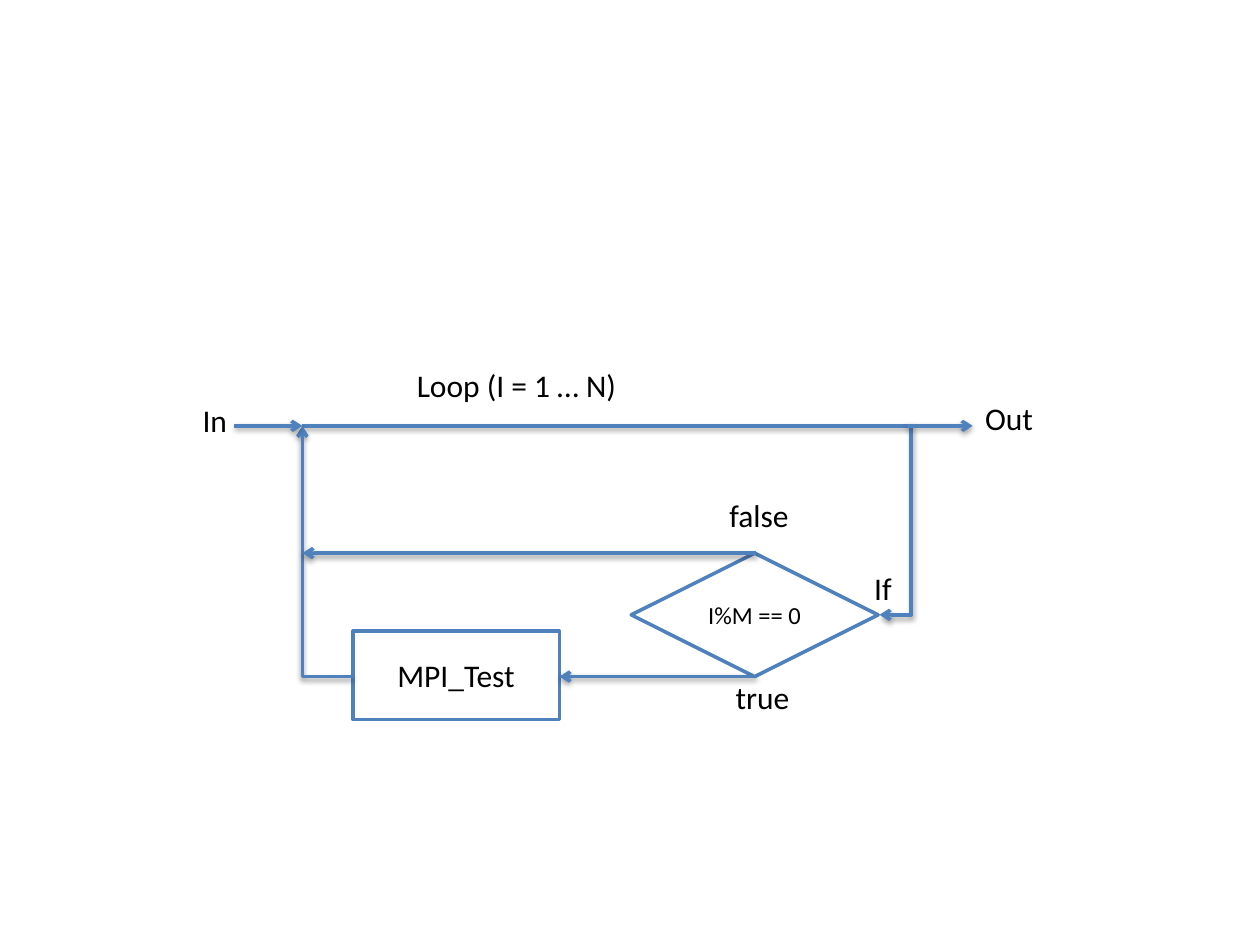
"""Build a flowchart of a loop that calls MPI_Test on every M-th pass."""
import pptx
import pptx.util
import pptx.dml.color
import pptx.enum.shapes
import pptx.enum.text
import pptx.oxml
import pptx.oxml.ns

Inches = pptx.util.Inches
SHAPE = pptx.enum.shapes.MSO_SHAPE
CONNECTOR = pptx.enum.shapes.MSO_CONNECTOR

THEME = {
    "font": "Calibri",
    "text": pptx.dml.color.RGBColor(0, 0, 0),
    "line": pptx.dml.color.RGBColor(0x4F, 0x81, 0xBD),
    "line_width": pptx.util.Pt(2),
    "label_size": pptx.util.Pt(18),
    "condition_size": pptx.util.Pt(14),
}

LOOP_Y, FALSE_Y, IF_Y, TRUE_Y = 3.38, 4.39, 4.88, 5.37
LOOP_LEFT, TEST_LEFT, TEST_RIGHT, CHOICE_X, CHOICE_RIGHT = 2.4, 2.8, 4.44, 6, 6.98

NODES = [
    ("MPI_Test", SHAPE.RECTANGLE, (TEST_LEFT, 5.01, 1.64, 0.7), "label_size"),
    ("I%M == 0", SHAPE.DIAMOND, (5.01, FALSE_Y, 1.96, 0.98), "condition_size"),
]
LABELS = [
    ("Loop (I = 1 … N)", 3.21, 2.86, 1.8),
    ("In", 1.51, 3.13, 0.4),
    ("Out", 7.72, 3.12, 0.59),
    ("true", 5.74, 5.33, 0.63),
    ("false", 5.69, 3.89, 0.68),
    ("If", 6.84, 4.47, 0.36),
]
LABEL_HEIGHT = 0.4
STRAIGHT_ARROWS = [
    (1.86, LOOP_Y, LOOP_LEFT, LOOP_Y),
    (7.2, LOOP_Y, 7.72, LOOP_Y),
    (CHOICE_X, TRUE_Y, TEST_RIGHT, TRUE_Y),
    (CHOICE_X, FALSE_Y, LOOP_LEFT, FALSE_Y),
]
LOOP_ARROW = (LOOP_LEFT, LOOP_Y, CHOICE_RIGHT, IF_Y)
RETURN_ARROW = (LOOP_LEFT, LOOP_Y, TEST_LEFT, TRUE_Y)

NAMESPACE = pptx.oxml.ns.nsdecls("a")
ARROWHEAD = f'<a:tailEnd {NAMESPACE} type="arrow"/>'
SHADOW = (
    f'<a:effectLst {NAMESPACE}><a:outerShdw blurRad="40000" dist="20000" dir="5400000" '
    'rotWithShape="0"><a:srgbClr val="000000"><a:alpha val="38000"/></a:srgbClr>'
    "</a:outerShdw></a:effectLst>"
)
BEND = f'<a:gd {NAMESPACE} name="adj1" fmla="val 105500"/>'


def apply(target, formats):
    for name, value in formats.items():
        setattr(target, name, value)


def style_line(line):
    line.color.rgb = THEME["line"]
    line.width = THEME["line_width"]


def write(shape, text, size, frame_formats, alignment):
    apply(shape.text_frame, frame_formats)
    paragraph = shape.text_frame.paragraphs[0]
    paragraph.alignment = alignment
    run = paragraph.add_run()
    run.text = text
    apply(run.font, {"name": THEME["font"], "size": THEME[size]})
    run.font.color.rgb = THEME["text"]


def add_node(slide, text, kind, box, size):
    shape = slide.shapes.add_shape(kind, *map(Inches, box))
    shape.shadow.inherit = False
    shape.fill.background()
    style_line(shape.line)
    formats = {"word_wrap": True, "vertical_anchor": pptx.enum.text.MSO_ANCHOR.MIDDLE}
    write(shape, text, size, formats, pptx.enum.text.PP_ALIGN.CENTER)


def add_label(slide, text, left, top, width):
    shape = slide.shapes.add_textbox(*map(Inches, (left, top, width, LABEL_HEIGHT)))
    formats = {"word_wrap": False, "auto_size": pptx.enum.text.MSO_AUTO_SIZE.SHAPE_TO_FIT_TEXT}
    write(shape, text, "label_size", formats, pptx.enum.text.PP_ALIGN.LEFT)


def add_arrow(slide, ends, kind=CONNECTOR.STRAIGHT):
    arrow = slide.shapes.add_connector(kind, *map(Inches, ends))
    style_line(arrow.line)
    properties = arrow._element.spPr
    properties.find(pptx.oxml.ns.qn("a:ln")).append(pptx.oxml.parse_xml(ARROWHEAD))
    properties.append(pptx.oxml.parse_xml(SHADOW))
    return properties


def add_loop_arrow(slide):
    geometry = add_arrow(slide, LOOP_ARROW, CONNECTOR.ELBOW).find(pptx.oxml.ns.qn("a:prstGeom"))
    geometry.find(pptx.oxml.ns.qn("a:avLst")).append(pptx.oxml.parse_xml(BEND))


def add_return_arrow(slide):
    properties = add_arrow(slide, RETURN_ARROW, CONNECTOR.ELBOW)
    properties.find(pptx.oxml.ns.qn("a:prstGeom")).set("prst", "bentConnector2")
    properties.find(pptx.oxml.ns.qn("a:xfrm")).set("rot", "10800000")


def main():
    presentation = pptx.Presentation()
    apply(presentation, {"slide_width": Inches(10), "slide_height": Inches(7.5)})
    slide = presentation.slides.add_slide(presentation.slide_layouts[6])
    for node in NODES:
        add_node(slide, *node)
    add_loop_arrow(slide)
    add_return_arrow(slide)
    for ends in STRAIGHT_ARROWS:
        add_arrow(slide, ends)
    for label in LABELS:
        add_label(slide, *label)
    presentation.save("out.pptx")


main()
